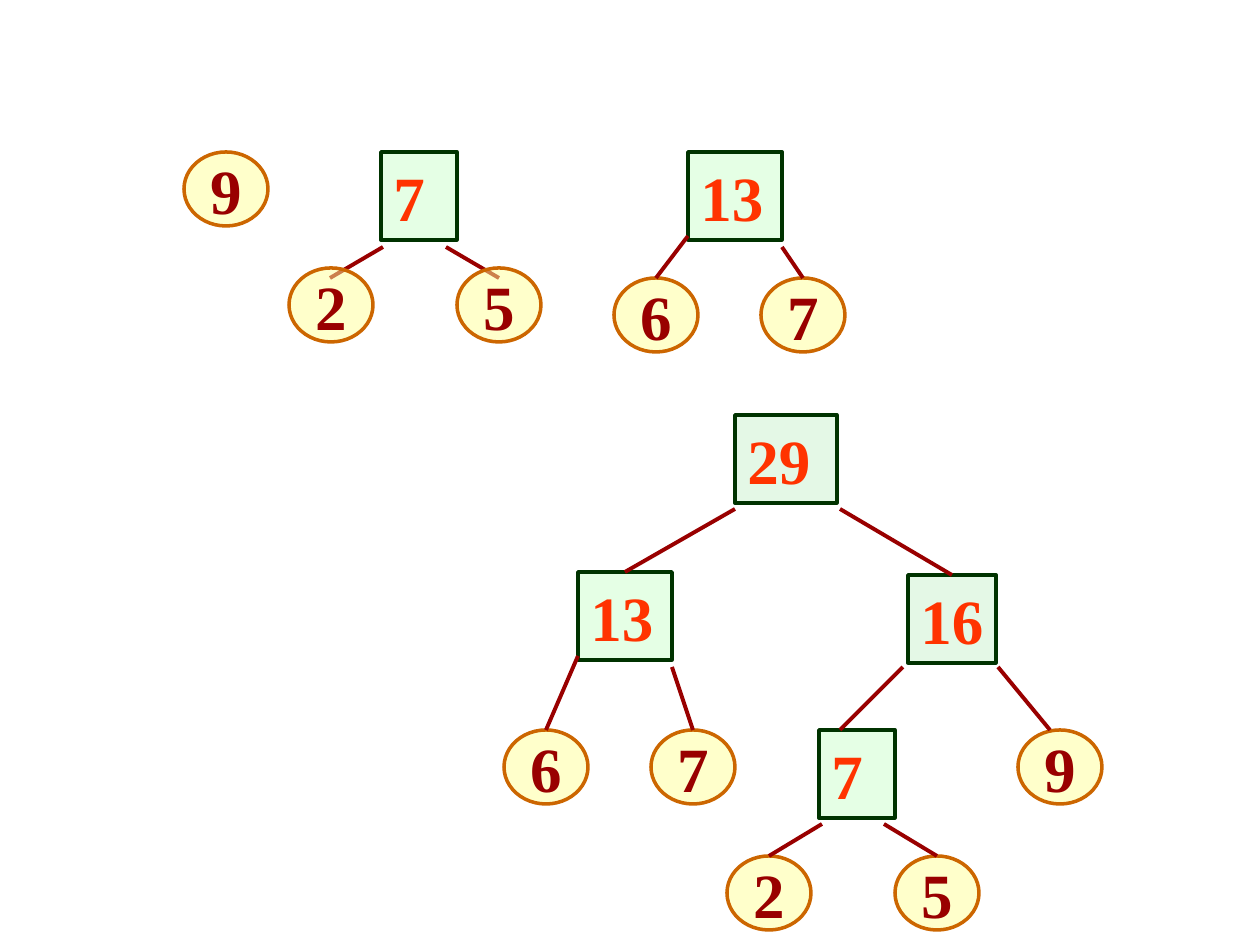
from pptx import Presentation
from pptx.dml.color import RGBColor
from pptx.enum.shapes import MSO_CONNECTOR, MSO_SHAPE
from pptx.enum.text import MSO_ANCHOR, PP_ALIGN
from pptx.oxml.ns import qn
from pptx.util import Pt
from lxml.etree import SubElement

PX = 7257
SQUARE_HEIGHT = 88
CIRCLE_WIDTH, CIRCLE_HEIGHT = 84, 74


def color(value):
    return RGBColor.from_string(value)


def add_node(text, left, top, width, height, *, kind, fill, line, ink, align, anchor):
    node = slide.shapes.add_shape(kind, left * PX, top * PX, width * PX, height * PX)
    node.shadow.inherit = False
    node.fill.solid()
    node.fill.fore_color.rgb = color(fill)
    tint = node._element.spPr.find(qn("a:solidFill"))[0]
    SubElement(tint, qn("a:alpha"), val="50000")
    node.line.color.rgb = color(line)
    node.line.width = Pt(2)
    frame = node.text_frame
    frame.word_wrap = False
    frame.vertical_anchor = anchor
    paragraph = frame.paragraphs[0]
    paragraph.alignment = align
    run = paragraph.add_run()
    run.text = text
    run.font.name = "Times New Roman"
    run.font.size = Pt(36)
    run.font.bold = True
    run.font.color.rgb = color(ink)
    tops[left + width // 2, top] = node


prs = Presentation()
prs.slide_width, prs.slide_height = 1260 * PX, 945 * PX
slide = prs.slides.add_slide(prs.slide_layouts[6])
tops = {}

leaf = dict(kind=MSO_SHAPE.OVAL, fill="FFFF99", line="CC6600", ink="990000",
            align=PP_ALIGN.CENTER, anchor=MSO_ANCHOR.MIDDLE)
inner = dict(kind=MSO_SHAPE.RECTANGLE, line="003300", ink="FF3300",
             align=PP_ALIGN.LEFT, anchor=MSO_ANCHOR.TOP)

sums = [
    ("7", 381, 152, 76, "CCFFCC"),
    ("13", 688, 152, 94, "CCFFCC"),
    ("29", 735, 415, 102, "CAF2CE"),
    ("13", 578, 572, 94, "CCFFCC"),
    ("16", 908, 575, 88, "CAF2CE"),
    ("7", 819, 730, 76, "CCFFCC"),
]
for text, left, top, width, fill in sums:
    add_node(text, left, top, width, SQUARE_HEIGHT, fill=fill, **inner)

weights = [
    ("9", 184, 152), ("6", 614, 278), ("7", 761, 278),
    ("6", 504, 730), ("7", 651, 730), ("9", 1018, 730),
    ("2", 727, 856), ("5", 895, 856),
]
for text, left, top in weights:
    add_node(text, left, top, CIRCLE_WIDTH, CIRCLE_HEIGHT, **leaf)

branches = [
    (383, 247, 330, 278), (446, 247, 499, 278),
    (688, 236, 656, 278), (782, 247, 803, 278),
    (735, 509, 625, 572), (840, 509, 952, 575),
    (578, 656, 546, 730), (672, 667, 693, 730),
    (903, 667, 840, 730), (998, 667, 1050, 730),
    (822, 824, 769, 856), (884, 824, 937, 856),
]
for start_x, start_y, end_x, end_y in branches:
    branch = slide.shapes.add_connector(
        MSO_CONNECTOR.STRAIGHT, start_x * PX, start_y * PX, end_x * PX, end_y * PX)
    branch.line.color.rgb = color("990000")
    branch.line.width = Pt(2.25)
    SubElement(branch._element.spPr, qn("a:effectLst"))
    if (end_x, end_y) in tops:
        branch.end_connect(tops[end_x, end_y], 0)

for text, left in [("2", 289), ("5", 457)]:
    add_node(text, left, 268, CIRCLE_WIDTH, CIRCLE_HEIGHT, **leaf)

prs.save("out.pptx")
